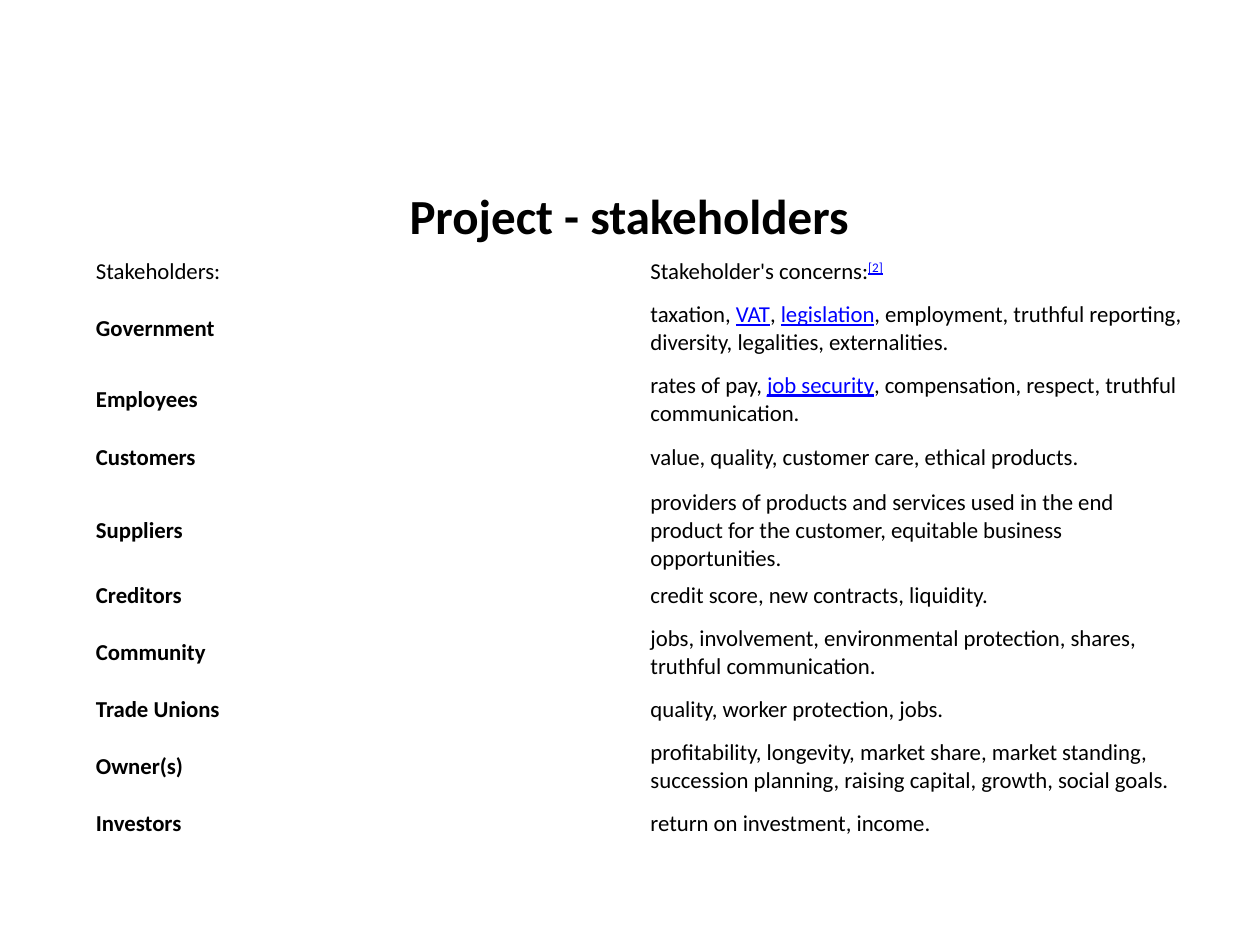
from pptx import Presentation
from pptx.dml.color import RGBColor
from pptx.enum.text import MSO_ANCHOR as Anchor, PP_ALIGN as Align
from pptx.util import Pt

EMU_PER_PX = 914400 / 126
COLORS = {"text": "000000", "link": "0000FF"}
CONCERNS = [
    ("Stakeholders:", "Stakeholder's concerns:|[2]", 37),
    ("Government", "taxation, |VAT|, |legislation|, employment, truthful reporting, "
     "diversity, legalities, externalities.", 76),
    ("Employees", "rates of pay, |job security|, compensation, respect, "
     "truthful communication.", 64),
    ("Customers", "value, quality, customer care, ethical products.", 52),
    ("Suppliers", "providers of products and services used in the end product "
     "for the customer, equitable business opportunities.", 92),
    ("Creditors", "credit score, new contracts, liquidity.", 37),
    ("Community", "jobs, involvement, environmental protection, shares, "
     "truthful communication.", 76),
    ("Trade Unions", "quality, worker protection, jobs.", 37),
    ("Owner(s)", "profitability, longevity, market share, market standing, "
     "succession planning, raising capital, growth, social goals.", 76),
    ("Investors", "return on investment, income.", 37),
]


def px(value):
    return round(value * EMU_PER_PX)


class SlideBuilder:
    font_name = "Calibri"
    title_size = 28
    cell_size = 13

    def __init__(self, slide):
        self.slide = slide

    def style(self, font, size, bold=False):
        font.name = self.font_name
        font.size = Pt(size)
        font.bold = bold
        font.color.rgb = RGBColor.from_string(COLORS["text"])

    def title(self, text, left, top, width, height):
        shape = self.slide.shapes.title
        shape.left, shape.top = px(left), px(top)
        shape.width, shape.height = px(width), px(height)
        shape.text_frame.text = text
        shape.text_frame.vertical_anchor = Anchor.MIDDLE
        paragraph = shape.text_frame.paragraphs[0]
        paragraph.alignment = Align.CENTER
        self.style(paragraph.font, self.title_size, bold=True)

    def cell(self, cell, text, bold=False):
        cell.fill.background()
        cell.vertical_anchor = Anchor.MIDDLE
        cell.margin_left = cell.margin_right = px(9)
        cell.margin_top = cell.margin_bottom = px(5)
        paragraph = cell.text_frame.paragraphs[0]
        self.style(paragraph.font, self.cell_size, bold)
        for index, part in enumerate(text.split("|")):
            run = paragraph.add_run()
            run.text = part
            if index % 2:
                run.font.underline = True
                run.font.color.rgb = RGBColor.from_string(COLORS["link"])
            if part == "[2]":
                run.font._element.set("baseline", "30000")

    def table(self, rows, left, top, width):
        height = sum(row_height for _, _, row_height in rows)
        frame = self.slide.shapes.add_table(
            len(rows), 2, px(left), px(top), px(width), px(height))
        table = frame.table
        table.first_row = table.horz_banding = False
        for index, (stakeholder, concerns, row_height) in enumerate(rows):
            table.rows[index].height = px(row_height)
            self.cell(table.cell(index, 0), stakeholder, bold=index > 0)
            self.cell(table.cell(index, 1), concerns)


def main():
    presentation = Presentation()
    presentation.slide_width, presentation.slide_height = px(1260), px(945)
    slide = presentation.slides.add_slide(presentation.slide_layouts[5])
    builder = SlideBuilder(slide)
    builder.title("Project - stakeholders", 62, 175, 1134, 79)
    builder.table(CONCERNS, 87, 253, 1109)
    presentation.save("out.pptx")


if __name__ == "__main__":
    main()
